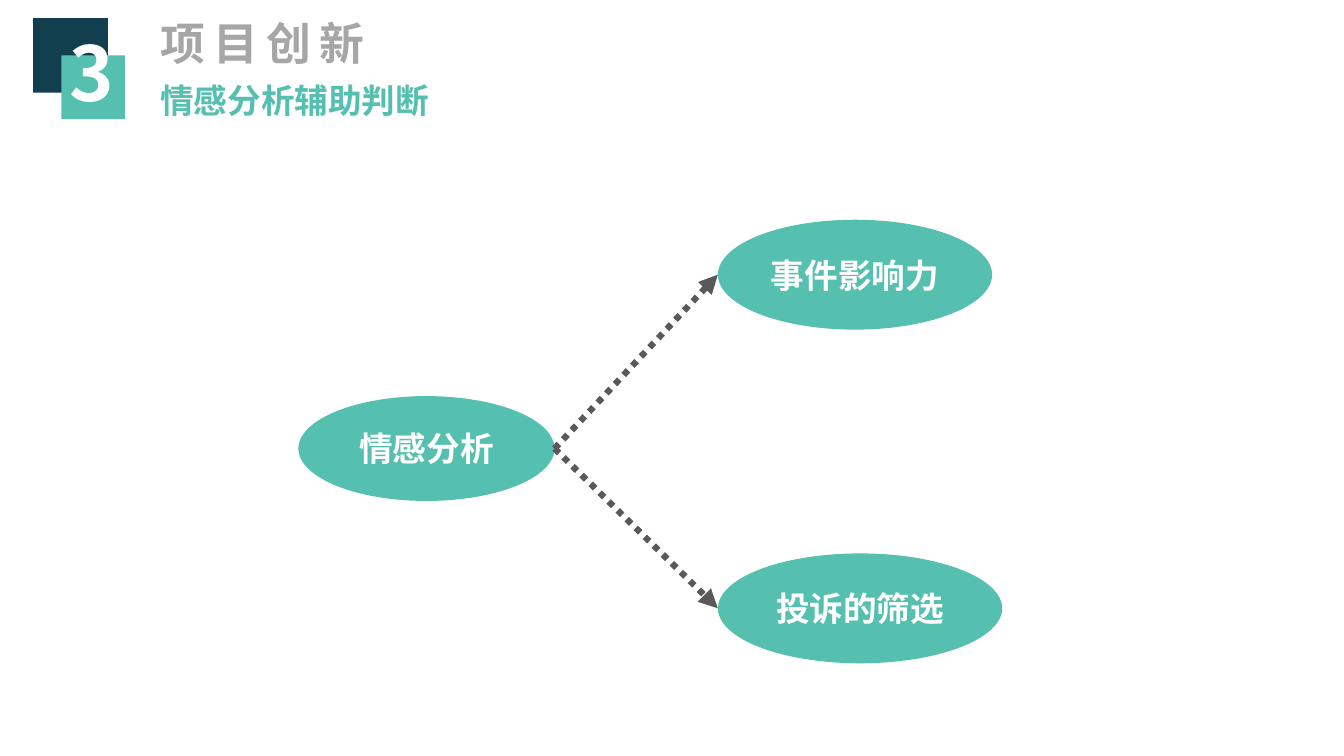
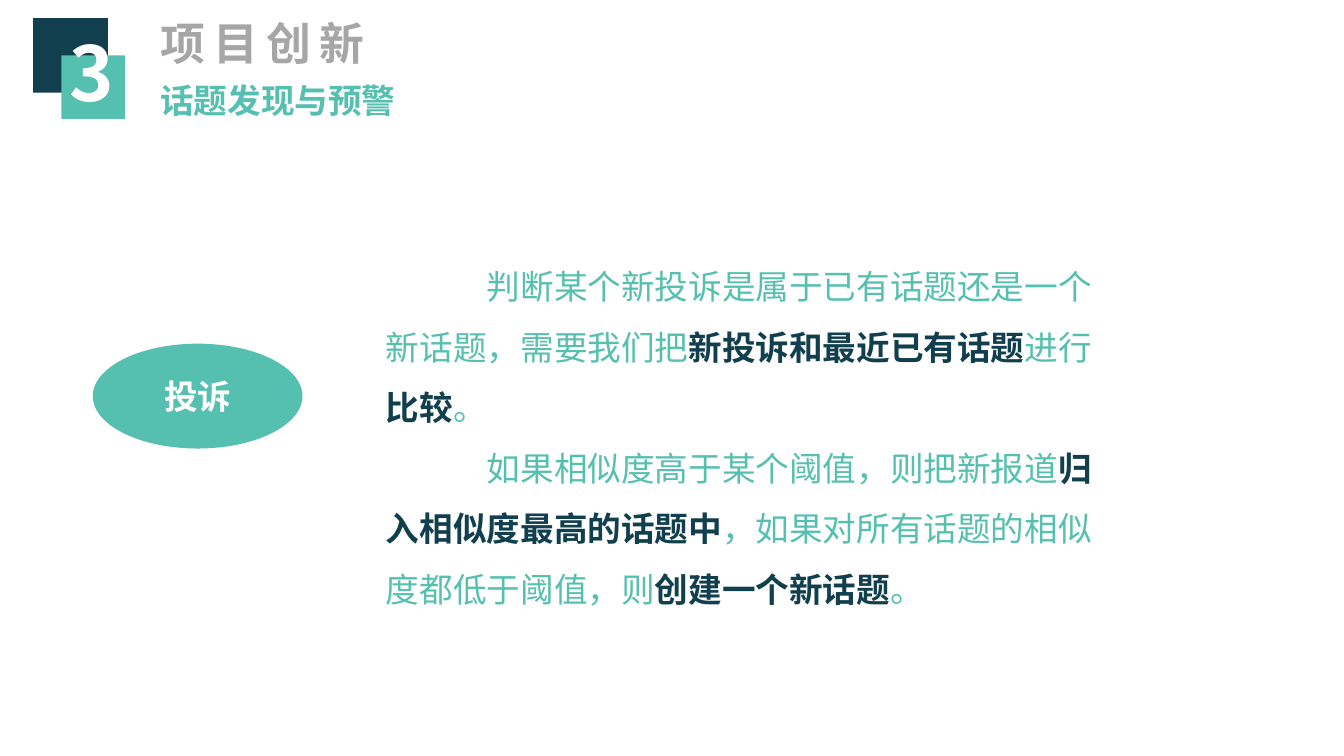
from lxml import etree
from pptx import Presentation
from pptx import util as u
from pptx.dml.color import RGBColor
from pptx.enum import dml, shapes, text
from pptx.oxml.ns import qn

# Shared style
TEAL, NAVY, GRAY, DARK, WHITE = "55C0AF", "113F4E", "A6A6A6", "595959", "FFFFFF"
CJK, LATIN = "Noto Sans CJK SC", "Lato"
BADGE_SQUARES = [((0.33, 0.18, 0.74, 0.74), NAVY), ((0.61, 0.55, 0.63, 0.63), TEAL)]
SECTION_NUMBER, SECTION_TITLE = "3", "项目创新"

# Content; ellipses are (label, (left, top, width, height))
SENTIMENT_TITLE = "情感分析辅助判断"
SOURCE = ("情感分析", (2.96, 3.93, 2.54, 1.04))
TARGETS = [
    ("事件影响力", (7.12, 2.18, 2.72, 1.09)),
    ("投诉的筛选", (7.12, 5.49, 2.82, 1.09)),
]

TOPIC_TITLE = "话题发现与预警"
COMPLAINT = ("投诉", (0.92, 3.41, 2.08, 1.04))
# Each paragraph is a list of (text, emphasised)
EXPLANATION = [
    [("判断某个新投诉是属于已有话题还是一个新话题，需要我们把", False),
     ("新投诉和最近已有话题", True), ("进行", False), ("比较", True), ("。", False)],
    [("如果相似度高于某个阈值，则把新报道", False), ("归入相似度最高的话题中", True),
     ("，如果对所有话题的相似度都低于阈值，则", False),
     ("创建一个新话题", True), ("。", False)],
]

# Connection sites of an ellipse
ELLIPSE_LEFT, ELLIPSE_RIGHT = 2, 6


def rgb(value):
    return RGBColor.from_string(value)


def inches(box):
    return [u.Inches(length) for length in box]


def add_run(paragraph, words, size, color, bold=True, latin=CJK, spacing=0):
    run = paragraph.add_run()
    run.text = words
    font = run.font
    font.size, font.bold, font.name = u.Pt(size), bold, latin
    font.color.rgb = rgb(color)
    properties = run._r.get_or_add_rPr()
    etree.SubElement(properties, qn("a:ea")).set("typeface", CJK)
    if spacing:
        properties.set("spc", str(spacing * 100))


def add_text_box(parent, box, wrap=True):
    frame = parent.add_textbox(*inches(box)).text_frame
    frame.word_wrap = wrap
    frame.auto_size = text.MSO_AUTO_SIZE.SHAPE_TO_FIT_TEXT
    return frame


def add_filled(parent, kind, box, color):
    shape = parent.add_shape(kind, *inches(box))
    shape.shadow.inherit = False
    shape.fill.solid()
    shape.fill.fore_color.rgb = rgb(color)
    shape.line.fill.background()
    return shape


def add_ellipse(slide, label, box):
    shape = add_filled(slide.shapes, shapes.MSO_SHAPE.OVAL, box, TEAL)
    shape.text_frame.vertical_anchor = text.MSO_ANCHOR.MIDDLE
    paragraph = shape.text_frame.paragraphs[0]
    paragraph.alignment = text.PP_ALIGN.CENTER
    add_run(paragraph, label, 24, WHITE)
    return shape


def add_arrow(slide, start, end):
    """Dotted arrow from the right of one ellipse to the left of another."""
    connector = slide.shapes.add_connector(
        shapes.MSO_CONNECTOR.STRAIGHT,
        start.left + start.width, start.top + start.height // 2,
        end.left, end.top + end.height // 2)
    connector.line.color.rgb = rgb(DARK)
    connector.line.width = u.Pt(4.5)
    connector.line.dash_style = dml.MSO_LINE.ROUND_DOT
    line = connector.line._get_or_add_ln()
    etree.SubElement(line, qn("a:tailEnd")).set("type", "triangle")
    etree.SubElement(connector._element.spPr, qn("a:effectLst"))
    # begin_connect knows four sites only, an ellipse has eight
    joints = connector._element.find(".//" + qn("p:cNvCxnSpPr"))
    for tag, shape, site in (("a:stCxn", start, ELLIPSE_RIGHT), ("a:endCxn", end, ELLIPSE_LEFT)):
        joint = etree.SubElement(joints, qn(tag))
        joint.set("id", str(shape.shape_id))
        joint.set("idx", str(site))


def add_slide(presentation, title):
    """Blank slide with the section badge and both headings."""
    slide = presentation.slides.add_slide(presentation.slide_layouts[6])
    badge = slide.shapes.add_group_shape().shapes
    for box, color in BADGE_SQUARES:
        add_filled(badge, shapes.MSO_SHAPE.RECTANGLE, box, color)
    number = add_text_box(badge, (0.59, 0.21, 0.67, 1.01), wrap=False)
    add_run(number.paragraphs[0], SECTION_NUMBER, 54, WHITE)
    section = add_text_box(slide.shapes, (1.49, 0.11, 5.18, 0.64))
    add_run(section.paragraphs[0], SECTION_TITLE, 32, GRAY, spacing=6)
    heading = add_text_box(slide.shapes, (1.49, 0.74, 4.48, 0.5))
    add_run(heading.paragraphs[0], title, 24, TEAL)
    return slide


def build_sentiment(presentation):
    slide = add_slide(presentation, SENTIMENT_TITLE)
    source = add_ellipse(slide, *SOURCE)
    targets = [add_ellipse(slide, *target) for target in TARGETS]
    for target in targets:
        add_arrow(slide, source, target)


def build_topics(presentation):
    slide = add_slide(presentation, TOPIC_TITLE)
    frame = add_text_box(slide.shapes, (3.73, 2.39, 7.35, 3.67))
    for index, runs in enumerate(EXPLANATION):
        paragraph = frame.add_paragraph() if index else frame.paragraphs[0]
        paragraph.line_spacing = 1.5
        paragraph._p.get_or_add_pPr().set("indent", str(u.Inches(1)))
        for words, strong in runs:
            add_run(paragraph, words, 24, NAVY if strong else TEAL, strong, LATIN)
    add_ellipse(slide, *COMPLAINT)


def main():
    presentation = Presentation()
    presentation.slide_width, presentation.slide_height = inches((13.33, 7.5))
    build_sentiment(presentation)
    build_topics(presentation)
    presentation.save("out.pptx")


if __name__ == "__main__":
    main()
